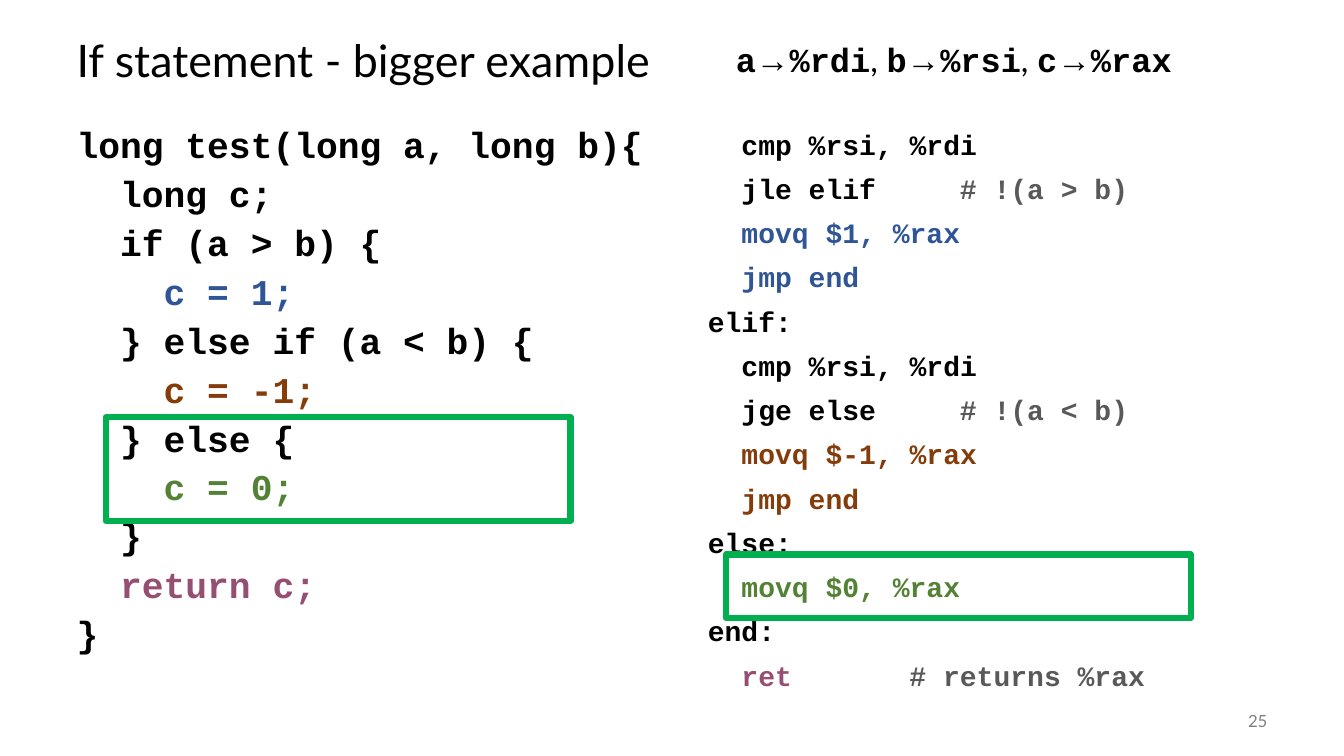
from dataclasses import dataclass

from lxml import etree
from pptx import Presentation
from pptx.dml.color import RGBColor
from pptx.enum.shapes import MSO_SHAPE
from pptx.enum.text import MSO_ANCHOR, MSO_AUTO_SIZE, PP_ALIGN
from pptx.oxml.ns import qn
from pptx.util import Pt

RECTANGLE = MSO_SHAPE.RECTANGLE
TOP, MIDDLE = MSO_ANCHOR.TOP, MSO_ANCHOR.MIDDLE
LEFT, RIGHT = PP_ALIGN.LEFT, PP_ALIGN.RIGHT
NO_AUTOFIT = MSO_AUTO_SIZE.NONE
EMU_PER_PX = 9144  # 100 px to the inch
TWO_CONTENT = 3


@dataclass(frozen=True)
class Theme:
    sans: str = "Lato"
    mono: str = "Courier New"
    symbol: str = "Arial"
    black: str = "000000"
    blue: str = "2F5597"
    brown: str = "843C0B"
    green: str = "548235"
    plum: str = "954F72"
    comment: str = "595959"
    number: str = "808080"
    highlight: str = "00B050"
    title_size: float = 32
    source_size: float = 25.9
    assembly_size: float = 20
    mapping_size: float = 24
    number_size: float = 12
    highlight_width: float = 4.5


def px(length):
    return length * EMU_PER_PX


def add_span(para, text, *, font, size, color, bold=False):
    span = para.add_run()
    span.text = text
    span.font.name = font
    span.font.size = Pt(size)
    span.font.bold = bold
    span.font.color.rgb = RGBColor.from_string(color)


class SlideBuilder:
    def __init__(self, deck, theme):
        self.theme = theme
        self.page = deck.slides.add_slide(deck.slide_layouts[TWO_CONTENT])

    def prepare(self, box, bounds, anchor):
        box.left, box.top, box.width, box.height = map(px, bounds)
        frame = box.text_frame
        frame.word_wrap = True
        frame.auto_size = NO_AUTOFIT
        frame.vertical_anchor = anchor
        return frame

    def title(self, text, bounds):
        para = self.prepare(self.page.shapes.title, bounds, MIDDLE).paragraphs[0]
        para.alignment = LEFT
        para.line_spacing = 0.9
        add_span(para, text, font=self.theme.sans,
                 size=self.theme.title_size, color=self.theme.black)

    def code(self, index, lines, bounds, *, size, line_spacing):
        """Fill a body placeholder; each line is a list of (text, color)."""
        frame = self.prepare(self.page.placeholders[index], bounds, TOP)
        for number, line in enumerate(lines):
            para = frame.add_paragraph() if number else frame.paragraphs[0]
            self.plain_code_layout(para)
            para.alignment = LEFT
            para.line_spacing = line_spacing
            para.space_before = Pt(10 if number else 0)
            for text, color in line:
                add_span(para, text, font=self.theme.mono, size=size,
                         color=color, bold=True)

    def plain_code_layout(self, para):
        # No bullet or indent, and a tab stop at every inch
        properties = para._p.get_or_add_pPr()
        properties.set("marL", "0")
        properties.set("indent", "0")
        etree.SubElement(properties, qn("a:buNone"))
        stops = etree.SubElement(properties, qn("a:tabLst"))
        for inch in (1, 2, 3):
            etree.SubElement(stops, qn("a:tab"), pos=str(px(100 * inch)), algn="l")

    def text(self, spans, bounds, *, size, color, anchor=TOP, align=LEFT):
        """Add a text box; each span is (text, font, bold)."""
        box = self.page.shapes.add_textbox(*map(px, bounds))
        para = self.prepare(box, bounds, anchor).paragraphs[0]
        para.alignment = align
        for text, font, bold in spans:
            add_span(para, text, font=font, size=size, color=color, bold=bold)

    def highlight(self, bounds):
        frame = self.page.shapes.add_shape(RECTANGLE, *map(px, bounds))
        frame.shadow.inherit = False
        frame.fill.background()
        frame.line.color.rgb = RGBColor.from_string(self.theme.highlight)
        frame.line.width = Pt(self.theme.highlight_width)


def main():
    deck = Presentation()
    deck.slide_width, deck.slide_height = px(1333), px(750)
    theme = Theme()
    slide = SlideBuilder(deck, theme)

    slide.title("If statement - bigger example", (66, 25, 1200, 75))

    # C source
    source = [
        [("long test(long a, long b){", theme.black)],
        [("  long c;", theme.black)],
        [("  if (a > b) {", theme.black)],
        [("    c = 1;", theme.blue)],
        [("  } else if (a < b) {", theme.black)],
        [("    c = -1;", theme.brown)],
        [("  } else {", theme.black)],
        [("    c = 0;", theme.green)],
        [("  }", theme.black)],
        [("  return c;", theme.plum)],
        [("}", theme.black)],
    ]
    slide.code(1, source, (66, 125, 586, 550),
               size=theme.source_size, line_spacing=0.8)

    # Slide number
    slide.text([("25", theme.sans, False)], (1167, 695, 100, 40),
               size=theme.number_size, color=theme.number,
               anchor=MIDDLE, align=RIGHT)

    # Assembly
    assembly = [
        [("  cmp %rsi, %rdi", theme.black)],
        [("  jle elif\t\t", theme.black), ("# !(a > b)", theme.comment)],
        [("  movq $1, %rax", theme.blue)],
        [("  jmp end", theme.blue)],
        [("elif:", theme.black)],
        [("  cmp %rsi, %rdi", theme.black)],
        [("  jge else\t\t", theme.black), ("# !(a < b)", theme.comment)],
        [("  movq $-1, %rax", theme.brown)],
        [("  jmp end", theme.brown)],
        [("else:", theme.black)],
        [("  movq $0, %rax", theme.green)],
        [("end:", theme.black)],
        [("  ret\t\t\t", theme.plum), ("# returns %rax", theme.comment)],
    ]
    slide.code(2, assembly, (692, 125, 575, 591),
               size=theme.assembly_size, line_spacing=0.9)

    # Variable to register mapping
    mapping = []
    for variable, register in (("a", "%rdi"), ("b", "%rsi"), ("c", "%rax")):
        if mapping:
            mapping.append((", ", theme.sans, False))
        mapping += [(variable, theme.mono, True), ("→", theme.symbol, True),
                    (register, theme.mono, True)]
    slide.text(mapping, (720, 34, 520, 50),
               size=theme.mapping_size, color=theme.black)

    # Highlights around the matching else branches
    slide.highlight((720, 550, 461, 63))
    slide.highlight((105, 414, 461, 103))

    deck.save("out.pptx")


if __name__ == "__main__":
    main()
